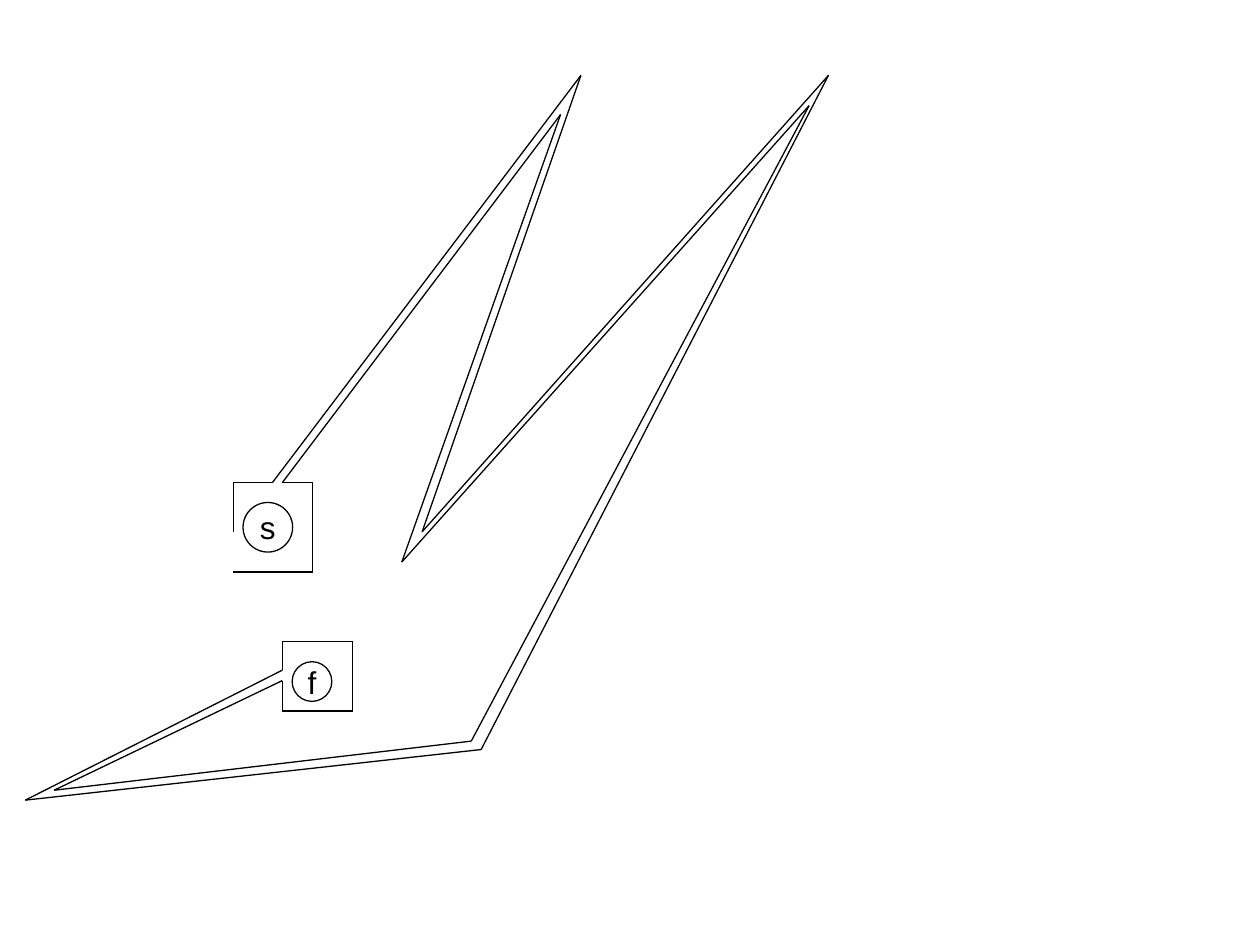
import pptx
import pptx.dml.color
import pptx.enum.shapes
import pptx.enum.text
import pptx.oxml.ns
import pptx.util
from lxml import etree
from pptx.util import Cm

BLACK = pptx.dml.color.RGBColor(0x00, 0x00, 0x00)
WHITE = pptx.dml.color.RGBColor(0xFF, 0xFF, 0xFF)
WALL_WIDTH = pptx.util.Pt(0.75)
LABEL_FONT = {"name": "Arial", "size": pptx.util.Pt(18)}
LABEL_FRAME = {
    "word_wrap": False,
    "vertical_anchor": pptx.enum.text.MSO_ANCHOR.MIDDLE,
}

START_ROOM_ENTRY = [(4.7, 10.72), (4.7, 9.73), (5.49, 9.73)]
OUTER_WALL = [(11.71, 1.52), (8.51, 10.72), (16.7, 1.52), (9.7, 15.11), (0.51, 16.13)]
FINISH_ROOM = [(5.69, 13.51), (5.69, 12.93), (7.11, 12.93),
               (7.11, 14.33), (5.69, 14.33), (5.69, 13.72)]
INNER_WALL = [(1.09, 15.93), (9.5, 14.94), (16.31, 2.13), (8.1, 11.33), (11.3, 2.31)]
START_ROOM_EXIT = [(5.69, 9.73), (6.3, 9.73), (6.3, 11.53), (4.7, 11.53)]


def apply_format(target, values):
    """Set each attribute of target from a dict of format values."""
    for attribute, value in values.items():
        setattr(target, attribute, value)


def outline(line):
    """Give a line the thin black wall style."""
    line.color.rgb = BLACK
    line.width = WALL_WIDTH


def add_wall(slide, corners):
    """Draw a straight wall between each pair of successive corners."""
    for begin, end in zip(corners, corners[1:]):
        wall = slide.shapes.add_connector(
            pptx.enum.shapes.MSO_CONNECTOR.STRAIGHT, *map(Cm, begin + end))
        outline(wall.line)
        etree.SubElement(wall._element.spPr, pptx.oxml.ns.qn("a:effectLst"))


def add_marker(slide, letter, left, top, width, height):
    """Draw a white circle with a centred letter."""
    marker = slide.shapes.add_shape(
        pptx.enum.shapes.MSO_SHAPE.OVAL, *map(Cm, (left, top, width, height)))
    marker.shadow.inherit = False
    marker.fill.solid()
    marker.fill.fore_color.rgb = WHITE
    outline(marker.line)
    apply_format(marker.text_frame, LABEL_FRAME)
    label = marker.text_frame.paragraphs[0]
    label.alignment = pptx.enum.text.PP_ALIGN.CENTER
    label_run = label.add_run()
    label_run.text = letter
    apply_format(label_run.font, LABEL_FONT)
    label_run.font.color.rgb = BLACK


def main():
    """Build the corridor slide from start s to finish f."""
    presentation = pptx.Presentation()
    apply_format(presentation, {"slide_width": Cm(25.4), "slide_height": Cm(19.05)})
    slide = presentation.slides.add_slide(presentation.slide_layouts[6])
    add_wall(slide, START_ROOM_ENTRY + OUTER_WALL + FINISH_ROOM
             + INNER_WALL + START_ROOM_EXIT)
    add_marker(slide, "f", 5.89, 13.34, 0.8, 0.8)
    add_marker(slide, "s", 4.9, 10.13, 1, 1)
    presentation.save("out.pptx")


if __name__ == "__main__":
    main()
